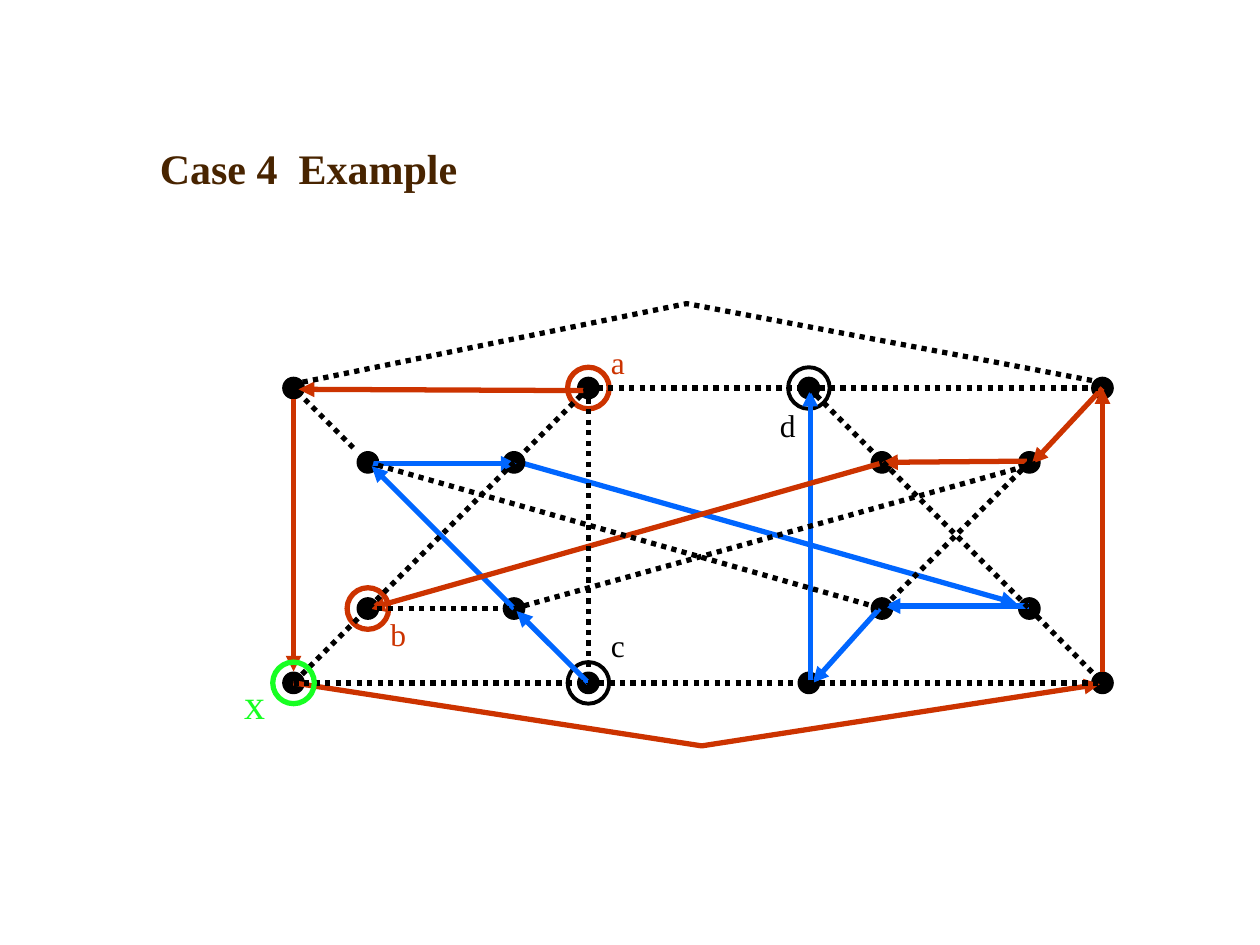
from dataclasses import dataclass
from itertools import product

from pptx import Presentation
from pptx.dml.color import RGBColor
from pptx.enum.dml import MSO_LINE
from pptx.enum.shapes import MSO_CONNECTOR, MSO_SHAPE
from pptx.enum.text import MSO_AUTO_SIZE
from pptx.oxml.ns import qn
from pptx.shapes.base import BaseShape
from pptx.slide import Slide
from pptx.util import Inches, Pt
from lxml import etree

OVAL = MSO_SHAPE.OVAL
STRAIGHT = MSO_CONNECTOR.STRAIGHT
DOTTED = MSO_LINE.ROUND_DOT
FIT_SHAPE = MSO_AUTO_SIZE.SHAPE_TO_FIT_TEXT

BLACK = RGBColor(0x00, 0x00, 0x00)
BLUE = RGBColor(0x00, 0x66, 0xFF)
RED = RGBColor(0xCC, 0x33, 0x00)
GREEN = RGBColor(0x17, 0xFF, 0x22)
BROWN = RGBColor(0x48, 0x24, 0x00)

FONT = "Times New Roman"
NODE_SIZE = 0.17
RING_SIZE = 0.33

Point = tuple[float, float]

OUTER_NODES = list(product((2.33, 4.67, 6.42, 8.75), (3.08, 5.42)))
INNER_NODES = list(product((2.92, 4.08, 7.0, 8.17), (3.67, 4.83)))


@dataclass(frozen=True)
class Ring:
    center: Point
    color: RGBColor
    width: float = 3


@dataclass(frozen=True)
class Label:
    text: str
    left: float
    top: float
    width: float
    color: RGBColor
    size: int = 18
    bold: bool = False

    @property
    def height(self) -> float:
        return 0.5 if self.size > 18 else 0.4


BLACK_RINGS = [Ring((6.42, 3.08), BLACK, 2.25), Ring((4.67, 5.42), BLACK, 2.25)]
RED_RINGS = [Ring((2.92, 4.83), RED), Ring((4.67, 3.08), RED)]
GREEN_RING = Ring((2.33, 5.42), GREEN)

LONG_BLUE_ARROW = [(4.09, 3.66), (8.07, 4.79)]
BLUE_ARROWS = [
    [(4.67, 5.42), (4.1, 4.85)],
    [(6.43, 5.4), (6.43, 3.1)],
    [(6.98, 4.83), (6.45, 5.42)],
    [(8.17, 4.81), (7.02, 4.81)],
    [(4.08, 4.83), (2.95, 3.7)],
    [(2.94, 3.68), (4.1, 3.68)],
]
RED_ARROWS = [
    [(2.33, 3.17), (2.33, 5.33)],
    [(2.33, 5.42), (5.57, 5.92), (8.73, 5.43)],
    [(8.75, 5.33), (8.75, 3.08)],
    [(4.63, 3.1), (2.37, 3.09)],
    [(6.98, 3.68), (2.93, 4.83)],
    [(8.75, 3.08), (8.19, 3.68)],
    [(8.15, 3.66), (7.0, 3.67)],
]
DOTTED_EDGES = [
    [(2.42, 3.17), (2.83, 3.58)],
    [(4.67, 3.08), (2.33, 5.42)],
    [(2.91, 4.83), (4.09, 4.83)],
    [(4.67, 5.42), (6.47, 5.42)],
    [(6.42, 3.08), (8.17, 4.83)],
    [(8.17, 3.67), (7.0, 4.83)],
    [(4.66, 3.08), (6.44, 3.08)],
    [(2.32, 3.05), (5.45, 2.41), (8.77, 3.04)],
    [(6.42, 3.08), (8.75, 3.08)],
    [(6.42, 5.42), (8.75, 5.42)],
    [(2.33, 5.42), (4.67, 5.42)],
    [(8.17, 4.83), (8.75, 5.42)],
    [(2.92, 3.67), (7.0, 4.83)],
    [(4.08, 4.83), (8.25, 3.67)],
    [(4.67, 3.08), (4.67, 5.42)],
]
LABELS = [
    Label("Case 4  Example", 1.17, 1.08, 2.56, BROWN, 24, True),
    Label("a", 4.75, 2.67, 0.31, RED),
    Label("b", 3.0, 4.83, 0.32, RED),
    Label("c", 4.75, 4.92, 0.31, BLACK),
    Label("d", 6.09, 3.17, 0.32, BLACK),
    Label("x", 1.84, 5.33, 0.36, GREEN, 24),
]


def add_circle(slide: Slide, center: Point, size: float, color: RGBColor, width: float) -> BaseShape:
    left, top = (Inches(value - size / 2) for value in center)
    circle = slide.shapes.add_shape(OVAL, left, top, Inches(size), Inches(size))
    circle.shadow.inherit = False
    circle.fill.background()
    circle.line.color.rgb = color
    circle.line.width = Pt(width)
    return circle


def add_node(slide: Slide, center: Point) -> None:
    node = add_circle(slide, center, NODE_SIZE, BLACK, 0.75)
    node.fill.solid()
    node.fill.fore_color.rgb = BLACK


def add_ring(slide: Slide, ring: Ring) -> None:
    add_circle(slide, ring.center, RING_SIZE, ring.color, ring.width)


def add_route(slide: Slide, points: list[Point]) -> BaseShape:
    start, *rest = [(Inches(x), Inches(y)) for x, y in points]
    if len(rest) == 1:
        connector = slide.shapes.add_connector(STRAIGHT, *start, *rest[0])
        etree.SubElement(connector.element.spPr, qn("a:effectLst"))
        return connector
    builder = slide.shapes.build_freeform(*start)
    builder.add_line_segments(rest, close=False)
    bent_line = builder.convert_to_shape()
    bent_line.shadow.inherit = False
    bent_line.fill.background()
    return bent_line


def add_edge(slide: Slide, points: list[Point], color: RGBColor, arrow: bool) -> None:
    edge = add_route(slide, points)
    edge.line.color.rgb = color
    edge.line.width = Pt(3)
    if arrow:
        outline = edge.element.spPr.find(qn("a:ln"))
        etree.SubElement(outline, qn("a:tailEnd"), type="triangle")
    else:
        edge.line.dash_style = DOTTED


def add_label(slide: Slide, label: Label) -> None:
    box = slide.shapes.add_textbox(
        Inches(label.left), Inches(label.top), Inches(label.width), Inches(label.height)
    )
    box.text_frame.word_wrap = False
    box.text_frame.auto_size = FIT_SHAPE
    paragraph = box.text_frame.paragraphs[0]
    paragraph.text = label.text
    paragraph.font.name = FONT
    paragraph.font.size = Pt(label.size)
    paragraph.font.bold = label.bold
    paragraph.font.color.rgb = label.color


def main() -> None:
    presentation = Presentation()
    presentation.slide_width = Inches(10)
    presentation.slide_height = Inches(7.5)
    slide = presentation.slides.add_slide(presentation.slide_layouts[6])

    for ring in BLACK_RINGS:
        add_ring(slide, ring)
    add_edge(slide, LONG_BLUE_ARROW, BLUE, arrow=True)
    for center in OUTER_NODES + INNER_NODES:
        add_node(slide, center)
    for points in BLUE_ARROWS:
        add_edge(slide, points, BLUE, arrow=True)
    for ring in RED_RINGS:
        add_ring(slide, ring)
    for points in RED_ARROWS:
        add_edge(slide, points, RED, arrow=True)
    for points in DOTTED_EDGES:
        add_edge(slide, points, BLACK, arrow=False)
    add_ring(slide, GREEN_RING)
    for label in LABELS:
        add_label(slide, label)

    presentation.save("out.pptx")


if __name__ == "__main__":
    main()
